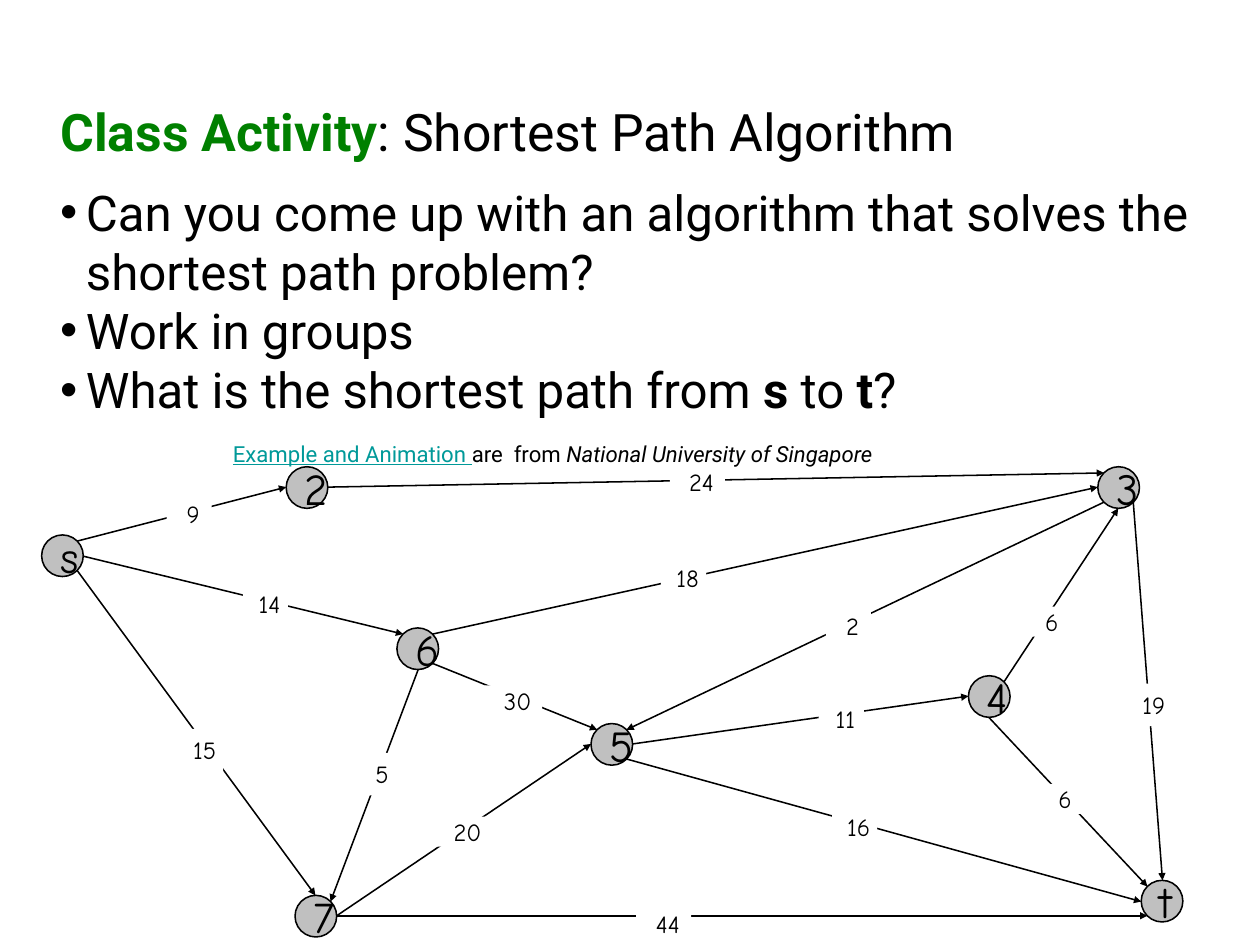
import math

import lxml.etree
import pptx
import pptx.dml.color
import pptx.enum.shapes
import pptx.enum.text
import pptx.oxml.ns
import pptx.util

EMU_PER_PX = 9144
SLIDE_SIZE = (1422, 1067)
NODE_SIZE = 47

BLACK = pptx.dml.color.RGBColor(0x00, 0x00, 0x00)
WHITE = pptx.dml.color.RGBColor(0xFF, 0xFF, 0xFF)
GREEN = pptx.dml.color.RGBColor(0x00, 0x80, 0x00)
TEAL = pptx.dml.color.RGBColor(0x00, 0x99, 0x99)
GRAY = pptx.dml.color.RGBColor(0xC0, 0xC0, 0xC0)

ANCHOR = pptx.enum.text.MSO_ANCHOR
ALIGN = pptx.enum.text.PP_ALIGN
SHAPE = pptx.enum.shapes.MSO_SHAPE

TITLE_FONT = {"name": "Roboto", "size": pptx.util.Pt(42), "bold": False}
BODY_FONT = {"name": "Roboto", "size": pptx.util.Pt(40)}
SOURCE_FONT = {"name": "Roboto", "size": pptx.util.Pt(18)}
NODE_FONT = {"name": "Comic Neue", "size": pptx.util.Pt(36)}
WEIGHT_FONT = {"name": "Comic Neue", "size": pptx.util.Pt(20)}

TITLE = [
    ("Class Activity", {"bold": True}, GREEN),
    (": Shortest Path Algorithm", {}, BLACK),
]
QUESTIONS = [
    [("Can you come up with an algorithm that solves the shortest path problem?", {}, BLACK)],
    [("Work in groups", {}, BLACK)],
    [
        ("What is the shortest path from ", {}, BLACK),
        ("s", {"bold": True}, BLACK),
        (" to ", {}, BLACK),
        ("t", {"bold": True}, BLACK),
        ("?", {}, BLACK),
    ],
]
SOURCE = [
    ("Example and Animation ", {"underline": True}, TEAL),
    ("are  from ", {}, BLACK),
    ("National University of Singapore", {"italic": True}, BLACK),
]

NODES = {
    "s": (47, 604),
    "3": (1239, 527),
    "t": (1288, 994),
    "2": (323, 527),
    "6": (448, 709),
    "7": (333, 1011),
    "4": (1093, 763),
    "5": (667, 817),
}
COMPASS = {
    side: math.radians(45 * turn)
    for turn, side in enumerate(["E", "SE", "S", "SW", "W", "NW", "N", "NE"])
}
EDGES = [
    ("s", "NE", "2", "W", 9, (188, 563, 51, 34), (0, 0)),
    ("s", "E", "6", "NW", 14, (274, 665, 51, 34), (0, 0)),
    ("s", "SE", "7", "N", 15, (201, 823, 51, 82), (7, 7)),
    ("6", "NE", "3", "W", 18, (746, 636, 51, 34), (0, 0)),
    ("4", "NE", "3", "S", 6, (1157, 685, 51, 34), (0, 0)),
    ("6", "SE", "5", "NW", 30, (547, 774, 65, 34), (0, 0)),
    ("5", "SE", "t", "W", 16, (939, 917, 51, 34), (0, 0)),
    ("5", "E", "4", "W", 11, (924, 795, 51, 34), (0, 0)),
    ("4", "S", "t", "NW", 6, (1172, 885, 51, 34), (0, 0)),
    ("3", "SW", "5", "NE", 2, (932, 690, 51, 34), (0, 0)),
    ("6", "S", "7", "NE", 5, (401, 850, 51, 48), (7, 7)),
    ("7", "E", "5", "W", 20, (492, 922, 62, 34), (0, 0)),
    ("2", "E", "3", "NW", 24, (756, 527, 62, 34), (0, 0)),
    ("7", "E", "t", "SW", 44, (718, 1026, 62, 34), (0, 0)),
    ("3", "SE", "t", "N", 19, (1272, 772, 51, 48), (0, 7)),
]


def px(length):
    return pptx.util.Emu(round(length) * EMU_PER_PX)


def assign(target, values):
    for attribute, value in values.items():
        setattr(target, attribute, value)


def place(shape, box):
    assign(shape, dict(zip(("left", "top", "width", "height"), map(px, box))))


def format_frame(frame, side_margin, end_margin, anchor):
    assign(frame, {
        "word_wrap": True,
        "auto_size": pptx.enum.text.MSO_AUTO_SIZE.NONE,
        "vertical_anchor": anchor,
        "margin_left": px(side_margin),
        "margin_right": px(side_margin),
        "margin_top": px(end_margin),
        "margin_bottom": px(end_margin),
    })


def write_runs(paragraph, runs, base_font, alignment=ALIGN.LEFT):
    assign(paragraph, {
        "alignment": alignment,
        "line_spacing": 1.0,
        "space_before": pptx.util.Pt(0),
    })
    for text, emphasis, color in runs:
        run = paragraph.add_run()
        run.text = text
        assign(run.font, {**base_font, **emphasis})
        run.font.color.rgb = color


def add_bullet(paragraph):
    properties = paragraph._p.get_or_add_pPr()
    properties.set("marL", str(px(29)))
    properties.set("indent", str(px(-29)))
    qn = pptx.oxml.ns.qn
    bullet_color = lxml.etree.SubElement(properties, qn("a:buClr"))
    lxml.etree.SubElement(bullet_color, qn("a:srgbClr"), val=str(BLACK))
    lxml.etree.SubElement(properties, qn("a:buFont"), typeface="Arial")
    lxml.etree.SubElement(properties, qn("a:buChar"), char="•")


def add_title(slide):
    title = slide.shapes.title
    place(title, (62, 0, 1297, 189))
    format_frame(title.text_frame, 6, 6, ANCHOR.BOTTOM)
    write_runs(title.text_frame.paragraphs[0], TITLE, TITLE_FONT)


def add_text(slide, box, margins, paragraphs, font, bulleted=False):
    frame = slide.shapes.add_textbox(*map(px, box)).text_frame
    format_frame(frame, *margins, ANCHOR.TOP)
    for index, runs in enumerate(paragraphs):
        paragraph = frame.add_paragraph() if index else frame.paragraphs[0]
        write_runs(paragraph, runs, font)
        if bulleted:
            add_bullet(paragraph)


def add_filled_shape(slide, preset, box, fill, text, font, margins, anchor):
    shape = slide.shapes.add_shape(preset, *map(px, box))
    shape.shadow.inherit = False
    shape.fill.solid()
    shape.fill.fore_color.rgb = fill
    shape.line.fill.background()
    format_frame(shape.text_frame, *margins, anchor)
    write_runs(shape.text_frame.paragraphs[0], [(text, {}, BLACK)], font, ALIGN.CENTER)
    return shape


def draw_line(line):
    line.color.rgb = BLACK
    line.width = pptx.util.Pt(1.25)


def add_node(slide, name, corner):
    node = add_filled_shape(slide, SHAPE.OVAL, (*corner, NODE_SIZE, NODE_SIZE),
                            GRAY, name, NODE_FONT, (14, 7), ANCHOR.MIDDLE)
    draw_line(node.line)


def rim_point(name, side):
    left, top = NODES[name]
    radius = NODE_SIZE / 2
    angle = COMPASS[side]
    return (left + radius * (1 + math.cos(angle)), top + radius * (1 + math.sin(angle)))


def add_edge(slide, start, end):
    edge = slide.shapes.add_connector(
        pptx.enum.shapes.MSO_CONNECTOR.STRAIGHT, *map(px, start + end))
    draw_line(edge.line)
    qn = pptx.oxml.ns.qn
    lxml.etree.SubElement(edge.line._get_or_add_ln(), qn("a:tailEnd"), type="triangle")
    lxml.etree.SubElement(edge._element.spPr, qn("a:effectLst"))


def main():
    presentation = pptx.Presentation()
    assign(presentation, dict(zip(("slide_width", "slide_height"), map(px, SLIDE_SIZE))))
    slide = presentation.slides.add_slide(presentation.slide_layouts[5])
    add_title(slide)
    add_text(slide, (62, 200, 1297, 867), (6, 6), QUESTIONS, BODY_FONT, bulleted=True)
    for name, corner in NODES.items():
        add_node(slide, name, corner)
    for origin, exit_side, target, entry_side, *_ in EDGES:
        add_edge(slide, rim_point(origin, exit_side), rim_point(target, entry_side))
    for *_, weight, box, margins in EDGES:
        add_filled_shape(slide, SHAPE.RECTANGLE, box, WHITE, f" {weight}",
                         WEIGHT_FONT, margins, ANCHOR.TOP)
    add_text(slide, (253, 492, 967, 40), (10, 5), [SOURCE], SOURCE_FONT)
    presentation.save("out.pptx")


if __name__ == "__main__":
    main()
